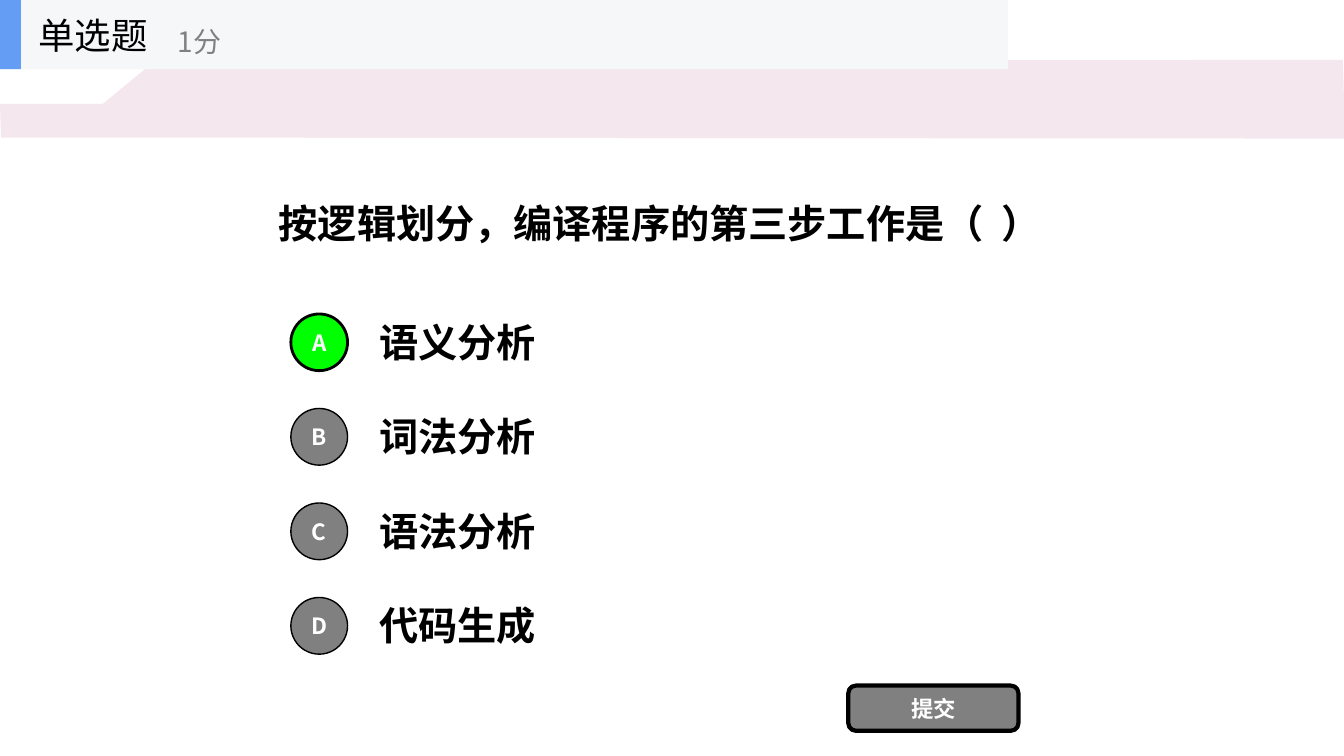
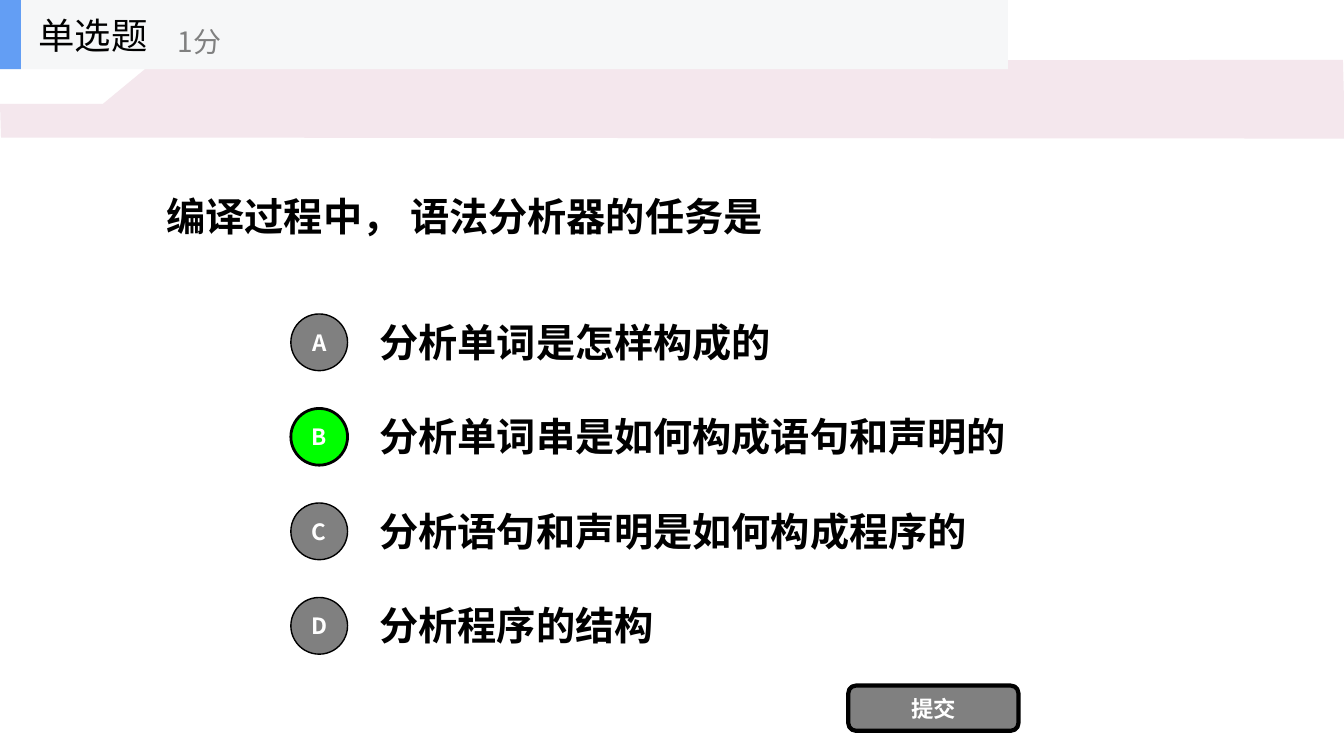
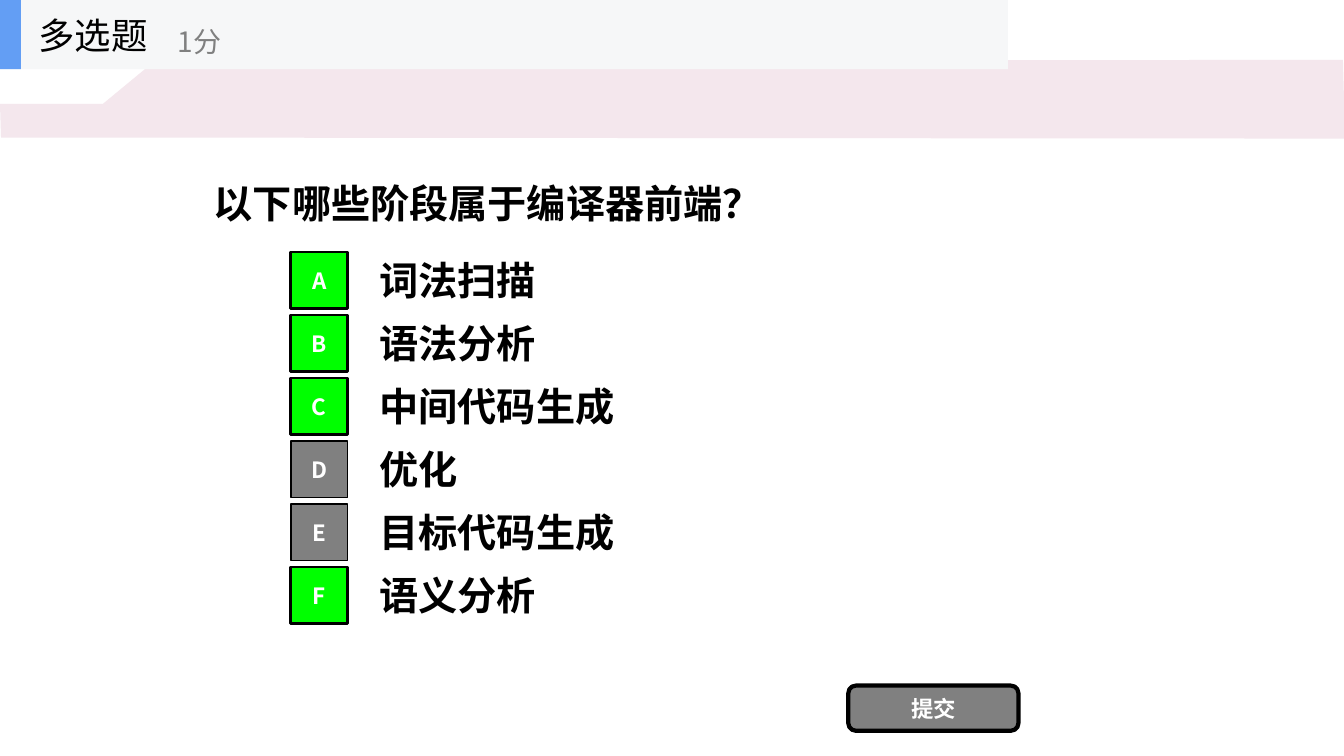
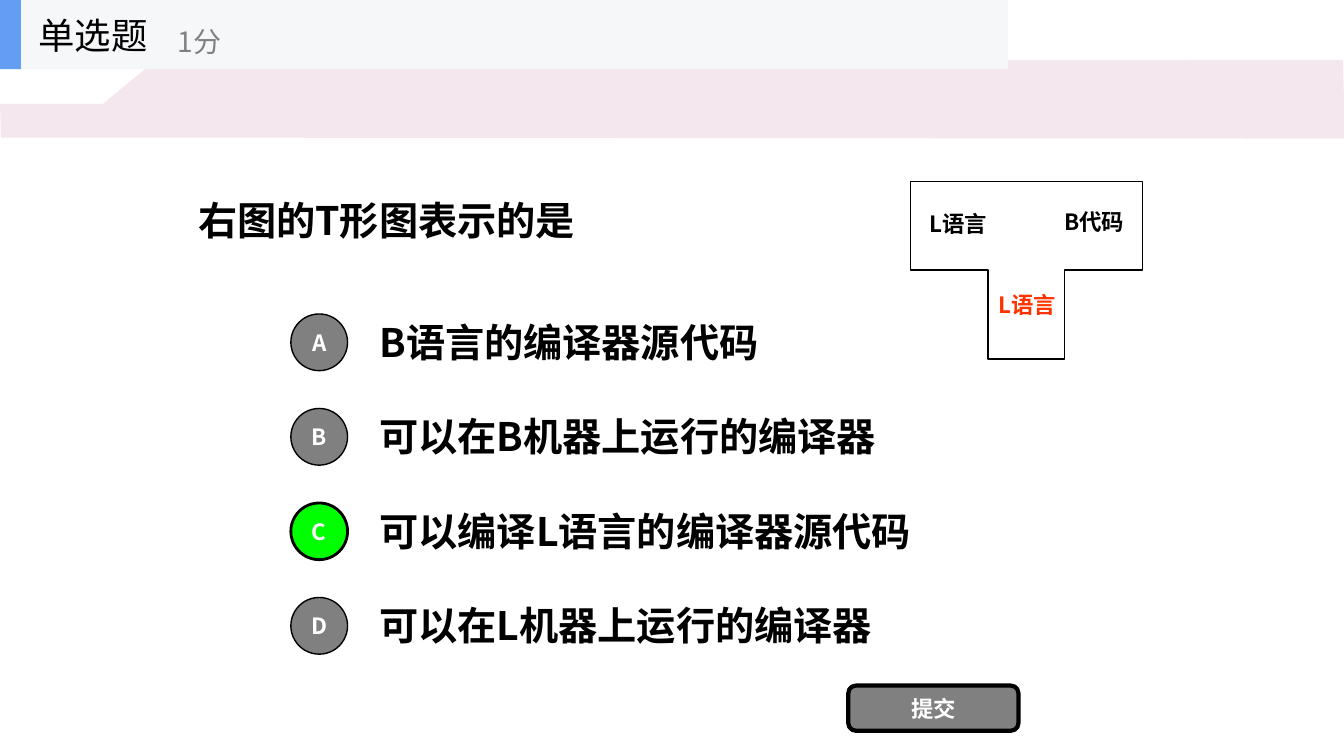
from lxml import etree
from pptx import Presentation
from pptx import util as u
from pptx.dml.color import RGBColor
from pptx.enum import shapes, text
from pptx.oxml.ns import qn

PX = 9525  # EMU in one px, 96 px to the inch
FONT = "Noto Sans CJK SC"
COLORS = {
    "black": "000000",
    "white": "FFFFFF",
    "band": "F4E7ED",
    "header": "F6F7F8",
    "accent": "639EF4",
    "gray": "808080",
    "correct": "00FF00",
    "red": "FF3300",
}
KIND = shapes.MSO_SHAPE
LEFT, CENTER = text.PP_ALIGN.LEFT, text.PP_ALIGN.CENTER

# Per kind: marker shape, top of the first option, distance between options
KINDS = {
    "单选题": (KIND.OVAL, 292, 90),
    "多选题": (KIND.RECTANGLE, 233, 60),
}
# Kind, question, question box, options, letters of the correct options
QUESTIONS = [
    ("单选题", "按逻辑划分，编译程序的第三步工作是（  ）", (256, 133, 768, 158),
     ["语义分析", "词法分析", "语法分析", "代码生成"], "A"),
    ("单选题", "编译过程中， 语法分析器的任务是", (149, 133, 768, 146),
     ["分析单词是怎样构成的", "分析单词串是如何构成语句和声明的",
      "分析语句和声明是如何构成程序的", "分析程序的结构"], "B"),
    ("多选题", "以下哪些阶段属于编译器前端？", (194, 141, 830, 105),
     ["词法扫描", "语法分析", "中间代码生成", "优化", "目标代码生成", "语义分析"], "ABCF"),
    ("单选题", "右图的T形图表示的是", (179, 136, 768, 147),
     ["B语言的编译器源代码", "可以在B机器上运行的编译器",
      "可以编译L语言的编译器源代码", "可以在L机器上运行的编译器"], "C"),
]


def paint(sp, fill, line=None, width=1):
    """Give a shape a flat fill, an optional outline and no shadow."""
    sp.shadow.inherit = False
    sp.fill.solid()
    sp.fill.fore_color.rgb = RGBColor.from_string(COLORS[fill])
    if line:
        sp.line.color.rgb = RGBColor.from_string(COLORS[line])
        sp.line.width = u.Pt(width)
    else:
        sp.line.fill.background()


def write(sp, content, size, color="black", bold=True, align=LEFT):
    """Set the text of a shape, centred vertically."""
    tf = sp.text_frame
    tf.word_wrap = True
    tf.auto_size = text.MSO_AUTO_SIZE.NONE
    tf.vertical_anchor = text.MSO_ANCHOR.MIDDLE
    tf.text = content
    p = tf.paragraphs[0]
    p.alignment = align
    p.font.size = u.Pt(size)
    p.font.bold = bold
    p.font.color.rgb = RGBColor.from_string(COLORS[color])
    p.font.name = FONT
    east_asian = etree.SubElement(p._p.pPr.find(qn("a:defRPr")), qn("a:ea"))
    east_asian.set("typeface", FONT)


prs = Presentation()
prs.slide_width, prs.slide_height = 1280 * PX, 720 * PX
layout = prs.slide_layouts[5]
slides = [prs.slides.add_slide(layout) for _ in QUESTIONS]

# Band and header bar: drawn once, then moved behind the layout's placeholders
outline = slides[0].shapes.build_freeform(0, 99, scale=PX)
outline.add_line_segments([(98, 99), (173, 37), (480, 37), (503, 58),
                           (1279, 57), (1281, 132), (1, 131)])
band = outline.convert_to_shape()
bar, accent = [slides[0].shapes.add_shape(KIND.RECTANGLE, 0, 0, w * PX, 66 * PX)
               for w in (960, 20)]
for i, (sp, fill) in enumerate([(band, "band"), (bar, "header"), (accent, "accent")]):
    paint(sp, fill)
    sp.element.xpath(".//p:cNvPr")[0].set("id", str(20 + i))
    layout.shapes.element.insert(2 + i, sp.element)

for s, (kind, question, box, options, correct) in zip(slides, QUESTIONS):
    title = s.shapes.title
    title.left, title.top, title.width, title.height = [v * PX for v in box]
    write(title, question, 28)

    marker_kind, top, pitch = KINDS[kind]
    for i, option in enumerate(options):
        y = top + i * pitch
        letter = "ABCDEF"[i]
        sp = s.shapes.add_textbox(352 * PX, y * PX, 672 * PX, 67 * PX)
        write(sp, option, 28)
        marker = s.shapes.add_shape(marker_kind, 277 * PX, (y + 7) * PX, 54 * PX, 54 * PX)
        if letter in correct:
            paint(marker, "correct", "black", 2)
        else:
            paint(marker, "gray", "black", 1)
        write(marker, letter, 16, "white", align=CENTER)

    submit = s.shapes.add_shape(KIND.ROUNDED_RECTANGLE, 808 * PX, 653 * PX, 162 * PX, 43 * PX)
    paint(submit, "gray", "black", 3)
    write(submit, "提交", 16, "white", align=CENTER)

    label = s.shapes.add_textbox(27 * PX, 0, 200 * PX, 66 * PX)
    write(label, kind, 26, bold=False)
    score = s.shapes.add_textbox(160 * PX, 12 * PX, 240 * PX, 54 * PX)
    write(score, "1分", 20, "gray", bold=False)

# T diagram on the last slide
s = slides[-1]
outline = s.shapes.build_freeform(867, 173, scale=PX)
outline.add_line_segments([(1088, 173), (1088, 257), (1014, 257), (1014, 342),
                           (941, 342), (941, 257), (867, 257)])
paint(outline.convert_to_shape(), "white", "black")
for content, color, box in [
    ("B代码", "black", (1009, 186, 66, 50)),
    ("L语言", "red", (947, 252, 63, 76)),
    ("L语言", "black", (881, 176, 63, 73)),
]:
    sp = s.shapes.add_shape(KIND.RECTANGLE, *[v * PX for v in box])
    paint(sp, "white")
    write(sp, content, 16, color, align=CENTER)
    sp.text_frame.margin_left = sp.text_frame.margin_right = 0
    sp.text_frame.word_wrap = False

prs.save("out.pptx")
